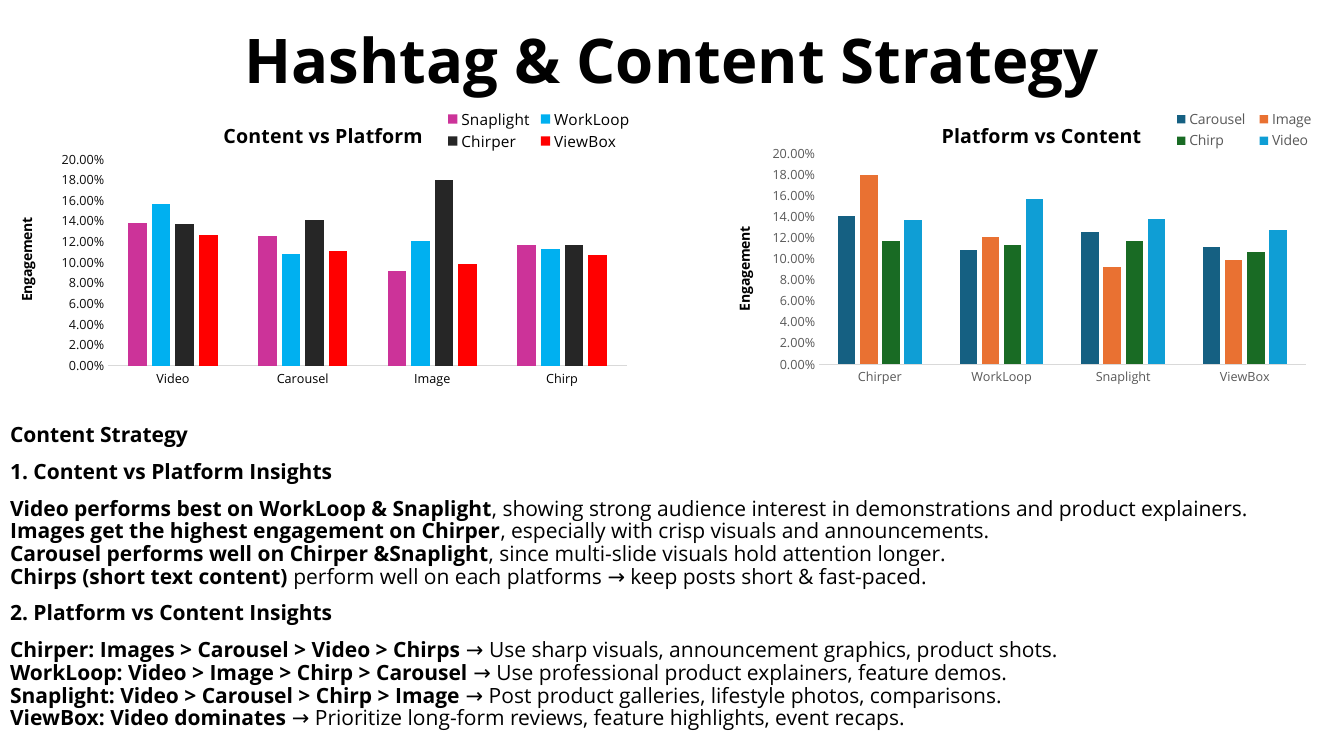
from lxml import etree
from pptx import Presentation
from pptx.chart.data import CategoryChartData
from pptx.dml.color import RGBColor
from pptx.enum.chart import XL_CHART_TYPE as ChartType, XL_LEGEND_POSITION as LegendPosition
from pptx.enum.chart import XL_TICK_MARK as TickMark
from pptx.enum.text import MSO_ANCHOR as Anchor, MSO_AUTO_SIZE as AutoSize, PP_ALIGN as Align
from pptx.oxml.ns import qn
from pptx.util import Inches, Pt

WIDTH, HEIGHT = Inches(13.33), Inches(7.5)
FONT = "Open Sans"
BLACK = RGBColor(0x00, 0x00, 0x00)
INK = RGBColor(0x0D, 0x0D, 0x0D)
GREY = RGBColor(0x59, 0x59, 0x59)
AXIS_GREY = RGBColor(0xD9, 0xD9, 0xD9)
MAGENTA = RGBColor(0xCC, 0x33, 0x99)
SKY = RGBColor(0x00, 0xB0, 0xF0)
CHARCOAL = RGBColor(0x26, 0x26, 0x26)
RED = RGBColor(0xFF, 0x00, 0x00)
TEAL = RGBColor(0x15, 0x60, 0x82)
ORANGE = RGBColor(0xE9, 0x71, 0x32)
GREEN = RGBColor(0x19, 0x6B, 0x24)
BLUE = RGBColor(0x0F, 0x9E, 0xD5)

CONTENT_CHART = {
    "title": "Content vs Platform",
    "categories": ["Video", "Carousel", "Image", "Chirp"],
    "series": [
        ("Snaplight", MAGENTA, (0.138, 0.126, 0.092, 0.117)),
        ("WorkLoop", SKY, (0.157, 0.108, 0.121, 0.113)),
        ("Chirper", CHARCOAL, (0.137, 0.141, 0.18, 0.117)),
        ("ViewBox", RED, (0.127, 0.111, 0.099, 0.107)),
    ],
    "colors": (BLACK, INK, BLACK),
    "legend_size": 11,
    "title_at": (0.333, 0.03),
    "axis_title_at": (0.002, 0.355),
    "legend_at": (0.69, 0, 0.31, 0.15),
    "plot_at": (0.154, 0.172, 0.832, 0.683),
}
PLATFORM_CHART = {
    "title": "Platform vs Content",
    "categories": ["Chirper", "WorkLoop", "Snaplight", "ViewBox"],
    "series": [
        ("Carousel", TEAL, (0.141, 0.108, 0.126, 0.111)),
        ("Image", ORANGE, (0.18, 0.121, 0.092, 0.099)),
        ("Chirp", GREEN, (0.117, 0.113, 0.117, 0.107)),
        ("Video", BLUE, (0.137, 0.157, 0.138, 0.127)),
    ],
    "colors": (GREY, GREY, GREY),
    "legend_size": 10,
    "title_at": (0.352, 0.03),
    "axis_title_at": (0.002, 0.385),
    "legend_at": (0.74, 0, 0.26, 0.15),
    "plot_at": (0.151, 0.153, 0.823, 0.697),
}
INSIGHTS = [
    [("Content Strategy", "")],
    [("1. Content vs Platform Insights", "")],
    [
        ("Video performs best on WorkLoop & Snaplight",
         ", showing strong audience interest in demonstrations and product explainers."),
        ("Images get the highest engagement on Chirper",
         ", especially with crisp visuals and announcements."),
        ("Carousel performs well on Chirper &Snaplight",
         ", since multi-slide visuals hold attention longer."),
        ("Chirps (short text content)",
         " perform well on each platforms → keep posts short & fast-paced."),
    ],
    [("2. Platform vs Content Insights", "")],
    [
        ("Chirper: Images > Carousel > Video > Chirps ",
         "→ Use sharp visuals, announcement graphics, product shots."),
        ("WorkLoop: Video > Image > Chirp > Carousel ",
         "→ Use professional product explainers, feature demos."),
        ("Snaplight: Video > Carousel > Chirp > Image ",
         "→ Post product galleries, lifestyle photos, comparisons."),
        ("ViewBox: Video dominates ",
         "→ Prioritize long-form reviews, feature highlights, event recaps."),
    ],
]


def set_font(font, size, color, bold=False):
    """Apply the deck's typeface with a size, colour and weight."""
    font.name, font.size, font.bold = FONT, Pt(size), bold
    font.color.rgb = color


def to_lengths(box):
    """Turn shares of the slide into left, top, width and height."""
    return [int(share * side) for share, side in zip(box, (WIDTH, HEIGHT) * 2)]


def place(shape, box):
    """Move a shape to a box given as shares of the slide."""
    shape.left, shape.top, shape.width, shape.height = to_lengths(box)


def set_layout(parent, position, after=None, inner=False):
    """Fix a chart part at shares of the chart area."""
    for old in parent.findall(qn("c:layout")):
        parent.remove(old)
    layout = etree.Element(qn("c:layout"))
    manual = etree.SubElement(layout, qn("c:manualLayout"))
    settings = [("layoutTarget", "inner")] if inner else []
    settings += [("xMode", "edge"), ("yMode", "edge")]
    settings += zip("xywh", position)
    for tag, value in settings:
        etree.SubElement(manual, qn(f"c:{tag}")).set("val", str(value))
    if after:
        parent.find(qn(after)).addnext(layout)
    else:
        parent.insert(0, layout)


def set_title(title, text, size):
    """Write a bold chart or axis title."""
    frame = title.text_frame
    frame.text = text
    set_font(frame.paragraphs[0].font, size, BLACK, True)


def add_engagement_chart(slide, box, content):
    """Draw a clustered engagement chart in its box."""
    data = CategoryChartData(number_format="0.00%")
    data.categories = content["categories"]
    for name, _, values in content["series"]:
        data.add_series(name, values)
    chart = slide.shapes.add_chart(ChartType.COLUMN_CLUSTERED, *to_lengths(box), data).chart
    set_font(chart.font, 10, BLACK)
    category_color, value_color, legend_color = content["colors"]
    category_axis, value_axis = chart.category_axis, chart.value_axis
    for axis, color in ((category_axis, category_color), (value_axis, value_color)):
        axis.major_tick_mark = axis.minor_tick_mark = TickMark.NONE
        axis.has_major_gridlines = False
        set_font(axis.tick_labels.font, 9, color)
    category_axis.format.line.color.rgb = AXIS_GREY
    category_axis.format.line.width = Pt(0.75)
    value_axis.format.line.fill.background()
    value_axis.minimum_scale, value_axis.maximum_scale = 0, 0.2
    value_axis.major_unit = 0.02
    value_axis.tick_labels.number_format = "0.00%"
    value_axis.tick_labels.number_format_is_linked = False
    set_title(chart.chart_title, content["title"], 14)
    set_title(value_axis.axis_title, "Engagement", 10)

    chart.has_legend = True
    chart.legend.position = LegendPosition.RIGHT
    chart.legend.include_in_layout = False
    set_font(chart.legend.font, content["legend_size"], legend_color)
    plot = chart.plots[0]
    plot.gap_width, plot.overlap, plot.vary_by_categories = 219, -27, False
    for series, (_, color, _) in zip(plot.series, content["series"]):
        series.format.fill.solid()
        series.format.fill.fore_color.rgb = color

    chart_xml = chart._chartSpace.find(qn("c:chart"))
    plot_area = chart_xml.find(qn("c:plotArea"))
    set_layout(plot_area, content["plot_at"], inner=True)
    set_layout(chart_xml.find(qn("c:title")), content["title_at"], "c:tx")
    set_layout(plot_area.find(f".//{qn('c:title')}"), content["axis_title_at"], "c:tx")
    set_layout(chart_xml.find(qn("c:legend")), content["legend_at"], "c:legendPos")


def add_heading(slide, box):
    """Fill the title placeholder."""
    title = slide.shapes.title
    place(title, box)
    frame = title.text_frame
    frame.text = "Hashtag & Content Strategy"
    frame.auto_size, frame.vertical_anchor = AutoSize.NONE, Anchor.MIDDLE
    paragraph = frame.paragraphs[0]
    paragraph.alignment, paragraph.line_spacing = Align.CENTER, 0.9
    set_font(paragraph.font, 44, BLACK, True)


def add_insights(slide, box):
    """Fill the body placeholder with the unbulleted insights."""
    body = slide.placeholders[1]
    place(body, box)
    frame = body.text_frame
    frame.auto_size, frame.vertical_anchor = AutoSize.NONE, Anchor.TOP
    for index, lines in enumerate(INSIGHTS):
        paragraph = frame.add_paragraph() if index else frame.paragraphs[0]
        paragraph.line_spacing, paragraph.space_before = 0.9, Pt(10)
        set_font(paragraph.font, 15, BLACK)
        properties = paragraph._p.get_or_add_pPr()
        properties.set("marL", "0")
        properties.set("indent", "0")
        properties.find(qn("a:defRPr")).addprevious(etree.Element(qn("a:buNone")))
        for number, (lead, rest) in enumerate(lines):
            if number:
                paragraph.add_line_break()
            for text, bold in ((lead, True), (rest, False)):
                if text:
                    run = paragraph.add_run()
                    run.text, run.font.bold = text, bold


def main():
    """Build and save the slide."""
    presentation = Presentation()
    presentation.slide_width, presentation.slide_height = WIDTH, HEIGHT
    slide = presentation.slides.add_slide(presentation.slide_layouts[1])
    add_heading(slide, (0.07, 0, 0.86, 0.168))
    add_insights(slide, (0, 0.555, 1, 0.44))
    add_engagement_chart(slide, (0.009, 0.142, 0.464, 0.4), CONTENT_CHART)
    add_engagement_chart(slide, (0.543, 0.142, 0.44, 0.4), PLATFORM_CHART)
    presentation.save("out.pptx")


if __name__ == "__main__":
    main()
